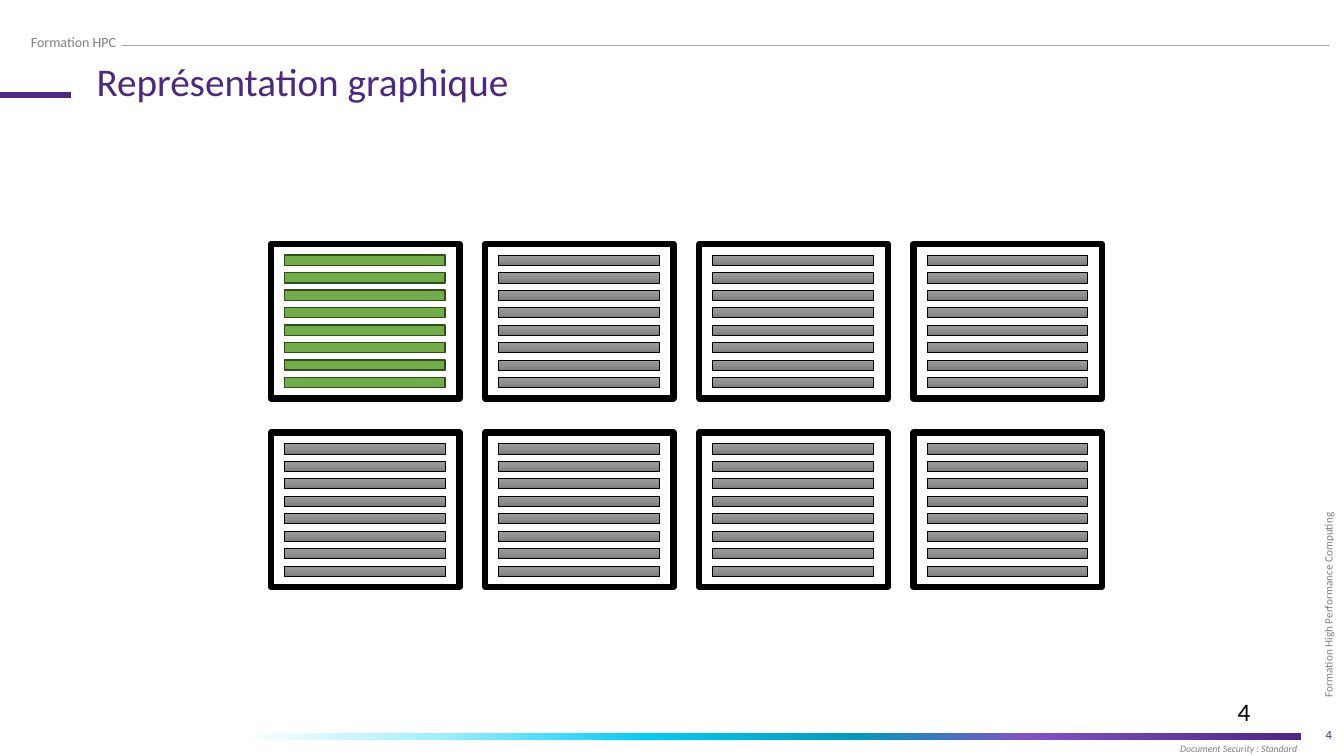
from lxml import etree
from pptx import Presentation
from pptx import util as u
from pptx.dml.color import RGBColor
from pptx.enum import shapes, text
from pptx.oxml import ns

BLACK = RGBColor(0x00, 0x00, 0x00)
WHITE = RGBColor(0xFF, 0xFF, 0xFF)
GREY = RGBColor(0x80, 0x80, 0x80)
RULE_GREY = RGBColor(0xA6, 0xA6, 0xA6)
PURPLE = RGBColor(0x4B, 0x28, 0x82)
GREEN = RGBColor(0x70, 0xAD, 0x47)
DARK_GREEN = RGBColor(0x31, 0x4C, 0x1F)
IDLE_STOPS = [
    (0, RGBColor(0x9D, 0x9D, 0x9D)),
    (50, RGBColor(0x90, 0x90, 0x90)),
    (100, RGBColor(0x7C, 0x7C, 0x7C)),
]
BAND_STOPS = [
    (0, WHITE),
    (18, RGBColor(0xA3, 0xF0, 0xFF)),
    (38, RGBColor(0x00, 0xCD, 0xF6)),
    (58, RGBColor(0x00, 0x9B, 0xBC)),
    (74, RGBColor(0x80, 0x52, 0xCA)),
    (100, PURPLE),
]
NODE_COLUMNS, NODE_ROWS, CORES = 4, 2, 8


def apply_formats(target, formats):
    for name, value in formats.items():
        setattr(target, name, value)


def lengths(box):
    return [u.Cm(value) for value in box]


def write(frame, words, size, color, italic=False, **paragraph_formats):
    para = frame.paragraphs[0]
    apply_formats(para, paragraph_formats)
    span = para.add_run()
    span.text = words
    apply_formats(span.font, {"name": "Calibri", "size": u.Pt(size), "italic": italic})
    span.font.color.rgb = color


def add_label(page, box, words, size, color, frame_formats=None, **text_formats):
    label = page.shapes.add_textbox(*lengths(box))
    apply_formats(label.text_frame, {"word_wrap": True, **(frame_formats or {})})
    write(label.text_frame, words, size, color, **text_formats)
    return label


def add_rule(page, start, end, color, width):
    rule = page.shapes.add_connector(
        shapes.MSO_CONNECTOR.STRAIGHT, *lengths((*start, *end)))
    rule.line.color.rgb = color
    rule.line.width = u.Pt(width)
    etree.SubElement(rule.element.spPr, ns.qn("a:effectLst"))


def add_bar(page, box):
    bar = page.shapes.add_shape(shapes.MSO_SHAPE.RECTANGLE, *lengths(box))
    bar.shadow.inherit = False
    return bar


def fill_gradient(bar, stops, angle):
    bar.fill.gradient()
    bar.fill.gradient_angle = angle
    stop_list = bar.element.spPr.find(".//" + ns.qn("a:gsLst"))
    for stop in list(stop_list):
        stop_list.remove(stop)
    for percent, color in stops:
        stop = etree.SubElement(stop_list, ns.qn("a:gs"), pos=str(percent * 1000))
        etree.SubElement(stop, ns.qn("a:srgbClr"), val=str(color))


def outline(bar, color, width):
    bar.line.color.rgb = color
    bar.line.width = u.Pt(width)


def add_header(page, box):
    left, top, width, height = box
    add_label(page, (left + 0.53, top + 0.71, 4.85, 0.69), "Formation HPC", 10, GREY)
    add_rule(page, (left + 3.07, top + 1.14), (left + width - 0.38, top + 1.14),
             RULE_GREY, 0.5)
    add_rule(page, (left, top + 2.4), (left + 1.8, top + 2.4), PURPLE, 4.5)
    title = page.shapes.title
    places = (left + 2.18, top + 1.45, 14.17, 0.91)
    apply_formats(title, dict(zip(("left", "top", "width", "height"), lengths(places))))
    apply_formats(title.text_frame, {
        "vertical_anchor": text.MSO_ANCHOR.TOP,
        "auto_size": text.MSO_AUTO_SIZE.NONE,
        "word_wrap": True,
    })
    write(title.text_frame, "Représentation graphique", 28, PURPLE,
          alignment=text.PP_ALIGN.LEFT, line_spacing=0.9)


def add_node(page, box, core_style):
    left, top, width, height = box
    frame = add_bar(page, box)
    frame.fill.background()
    outline(frame, BLACK, 4.5)
    for core in range(CORES):
        core_style(add_bar(page, (left + 0.34, top + 0.28 + core * 0.44,
                                  width - 0.7, 0.26)))


def style_active(core):
    core.fill.solid()
    core.fill.fore_color.rgb = GREEN
    outline(core, DARK_GREEN, 1)


def style_idle(core):
    fill_gradient(core, IDLE_STOPS, 270)
    outline(core, BLACK, 0.5)


def add_cluster(page, box):
    left, top, width, height = box
    node_width, node_height = 4.75, 3.89
    column_step = (width - node_width) / (NODE_COLUMNS - 1)
    row_step = (height - node_height) / (NODE_ROWS - 1)
    for node in range(NODE_COLUMNS * NODE_ROWS):
        row, column = divmod(node, NODE_COLUMNS)
        place = (left + column * column_step, top + row * row_step,
                 node_width, node_height)
        add_node(page, place, style_active if node == 0 else style_idle)


def add_side_label(page, box):
    left, top, width, height = box
    place = (left + (width - height) / 2, top + (height - width) / 2, height, width)
    margins = dict.fromkeys(
        ("margin_left", "margin_right", "margin_top", "margin_bottom"), u.Cm(0.25))
    label = add_label(page, place, "Formation High Performance Computing", 8, GREY,
                      {"vertical_anchor": text.MSO_ANCHOR.MIDDLE, **margins},
                      line_spacing=1.2)
    label.rotation = 270


def add_footer(page, box):
    left, top, width, height = box
    middle = {"vertical_anchor": text.MSO_ANCHOR.MIDDLE}
    margins = dict.fromkeys(
        ("margin_left", "margin_right", "margin_top", "margin_bottom"), u.Cm(0.1))
    band = add_bar(page, (left + 6.1, top + 1.04, 26.7, 0.2))
    fill_gradient(band, BAND_STOPS, 0)
    band.line.fill.background()
    add_label(page, (left + width - 7.67, top + 0.59, 7.62, 1.02), "4", 9, PURPLE,
              middle, alignment=text.PP_ALIGN.RIGHT)
    add_label(page, (left + 29.64, top + 1.2, 3.2, 0.5), "Document Security : Standard",
              7, GREY, {**middle, **margins, "word_wrap": False}, italic=True)
    add_label(page, (left + 30.94, top, 2.92, 1.02), "4", 18, BLACK)


def main():
    deck = Presentation()
    apply_formats(deck, {"slide_width": u.Cm(33.87), "slide_height": u.Cm(19.05)})
    page = deck.slides.add_slide(deck.slide_layouts[5])
    add_header(page, (0, 0, 33.87, 3))
    add_cluster(page, (6.83, 6.15, 20.94, 8.64))
    add_side_label(page, (32.98, 11.39, 0.91, 6.43))
    add_footer(page, (0, 17.42, 33.87, 1.63))
    deck.save("out.pptx")


if __name__ == "__main__":
    main()
